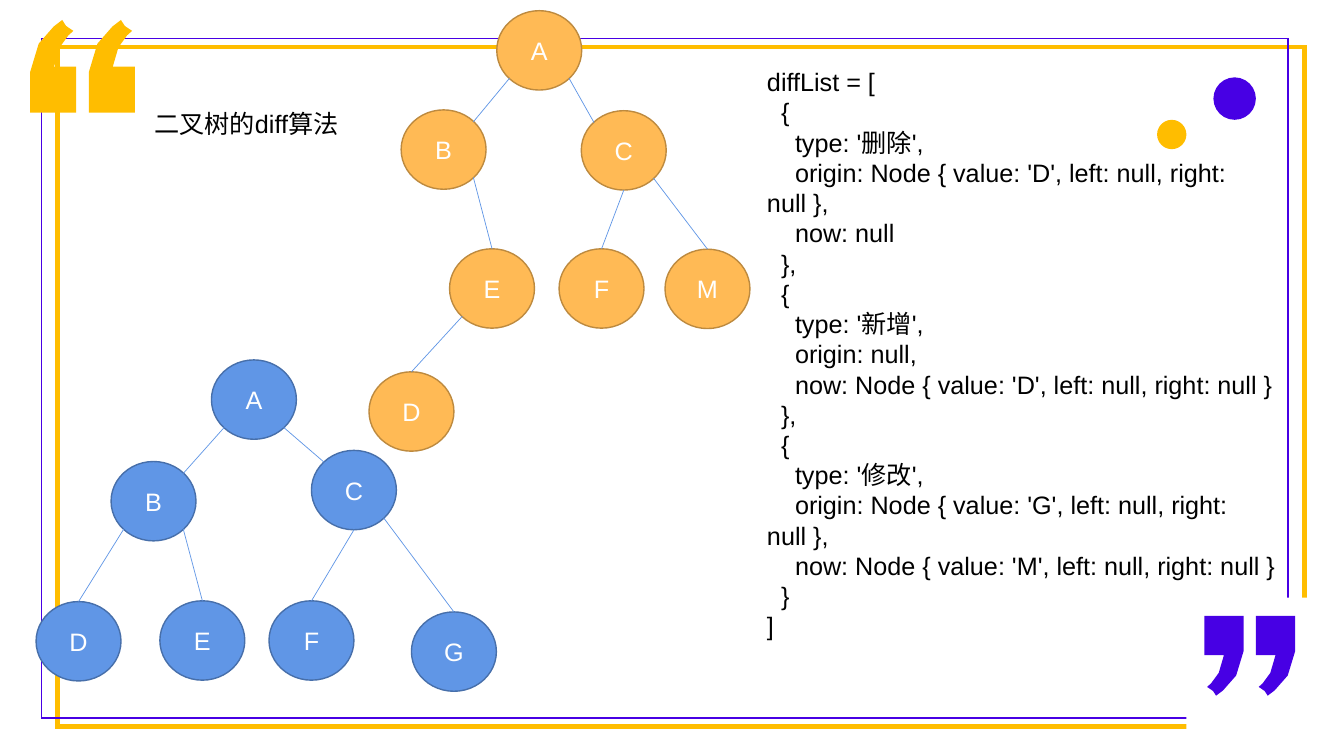
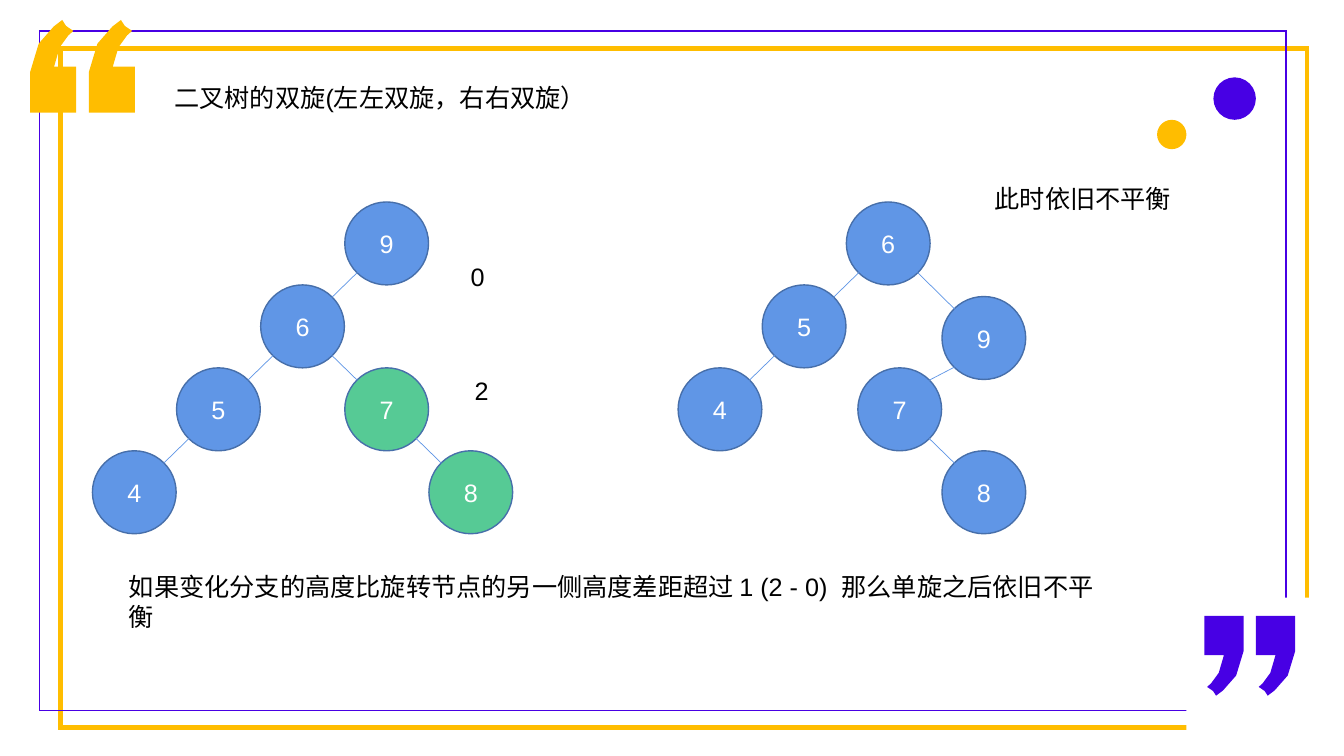
"""Build two slides on binary tree algorithms."""
from pptx import Presentation
from pptx.dml.color import RGBColor
from pptx.enum.shapes import MSO_CONNECTOR, MSO_SHAPE
from pptx.enum.text import MSO_ANCHOR, MSO_AUTO_SIZE, PP_ALIGN
from pptx.oxml.ns import qn
from pptx.util import Cm, Pt

WHITE = RGBColor(0xFF, 0xFF, 0xFF)
BLACK = RGBColor(0x00, 0x00, 0x00)
GOLD = RGBColor(0xFF, 0xBD, 0x00)
VIOLET = RGBColor(0x47, 0x00, 0xE4)
BLUE = RGBColor(0x60, 0x96, 0xE6)
NAVY = RGBColor(0x47, 0x6F, 0xAA)
ORANGE = RGBColor(0xFF, 0xBA, 0x55)
BROWN = RGBColor(0xBD, 0x8A, 0x3F)
GREEN = RGBColor(0x56, 0xCA, 0x95)
FONT = "Arial"
SIZE = Pt(18)

TOP, BOTTOM = (0, -0.5), (0, 0.5)
TL, TR = (-0.35, -0.35), (0.35, -0.35)
BL, BR = (-0.35, 0.35), (0.35, 0.35)


def style(par, color=BLACK, align=PP_ALIGN.LEFT):
    """Set the font and alignment of a paragraph."""
    par.alignment = align
    par.font.name = FONT
    par.font.size = SIZE
    par.font.color.rgb = color


def paint(shape, fill=None, line=None, width=1):
    """Set fill and sharp-cornered line of a shape and drop its shadow."""
    shape.shadow.inherit = False
    if fill is None:
        shape.fill.background()
    else:
        shape.fill.solid()
        shape.fill.fore_color.rgb = fill
    if line is None:
        shape.line.fill.background()
    else:
        shape.line.color.rgb = line
        shape.line.width = Pt(width)
        edge = shape._element.spPr.find(qn("a:ln"))
        edge.append(edge.makeelement(qn("a:miter"), {"lim": "800000"}))


def add_form(slide, kind, box, fill=None, line=None, width=1):
    """Add a preset shape at a box given in centimetres."""
    shape = slide.shapes.add_shape(kind, *map(Cm, box))
    paint(shape, fill, line, width)
    return shape


def curve(start, one, two, end, steps=3):
    """Return points along a cubic curve after its start."""
    def at(t, axis):
        u = 1 - t
        return (u ** 3 * start[axis] + 3 * u * u * t * one[axis]
                + 3 * u * t * t * two[axis] + t ** 3 * end[axis])
    return [(at(n / steps, 0), at(n / steps, 1)) for n in range(1, steps + 1)]


def add_quote(slide, box, fill, line=None, turn=0):
    """Add one quotation mark drawn on a grid of 1000 units."""
    left, top, width, height = map(Cm, box)
    tip, neck, base = (700, 0), (930, 110), (0, 560)
    points = [(780, 60), neck,
              *curve(neck, neck, (550, 240), (500, 510)),
              (1000, 510), (1000, 1000), (0, 1000), base,
              *curve(base, (20, 190), (700, 10), tip)]
    pen = slide.shapes.build_freeform(*tip, scale=(width / 1000, height / 1000))
    pen.add_line_segments(points)
    shape = pen.convert_to_shape(left, top)
    paint(shape, fill, line)
    shape.rotation = turn


def add_decor(slide, outer, inner):
    """Add the double frame, quotation marks and dots."""
    for spot, color, width in ((outer, GOLD, 3.25), (inner, VIOLET, 1)):
        add_form(slide, MSO_SHAPE.RECTANGLE, (*spot, 31.42, 17.12),
                 line=color, width=width)
    add_form(slide, MSO_SHAPE.RECTANGLE, (29.9, 15.06, 3.4, 3.68), WHITE)
    for left in (0.78, 2.26):
        add_quote(slide, (left, 0.53, 1.12, 2.29), GOLD, GOLD)
    for left in (30.35, 31.65):
        add_quote(slide, (left, 15.52, 0.99, 2.01), VIOLET, turn=180)
    add_form(slide, MSO_SHAPE.OVAL, (29.16, 3.02, 0.74, 0.74), GOLD)
    add_form(slide, MSO_SHAPE.OVAL, (30.58, 1.95, 1.07, 1.07), VIOLET)


def add_page(deck, title, box, outer, inner):
    """Add a decorated slide with its title."""
    slide = deck.slides.add_slide(deck.slide_layouts[5])
    head = slide.shapes.title
    head.left, head.top, head.width, head.height = map(Cm, box)
    frame = head.text_frame
    frame.text = title
    frame.word_wrap = True
    frame.auto_size = MSO_AUTO_SIZE.NONE
    frame.vertical_anchor = MSO_ANCHOR.TOP
    style(frame.paragraphs[0])
    add_decor(slide, outer, inner)
    return slide


def add_text(slide, box, lines):
    """Add a text box of (depth, text) lines indented by depth."""
    frame = slide.shapes.add_textbox(*map(Cm, box)).text_frame
    frame.word_wrap = True
    for index, (depth, text) in enumerate(lines):
        par = frame.add_paragraph() if index else frame.paragraphs[0]
        par.text = text
        style(par)
        if depth:
            props = par._p.get_or_add_pPr()
            props.set("marL", "0")
            props.set("indent", str(Pt(10) * depth))


def add_edge(slide, start, end):
    """Add a thin line between two points."""
    line = slide.shapes.add_connector(MSO_CONNECTOR.STRAIGHT, *start, *end)
    line.line.color.rgb = BLUE
    line.line.width = Pt(0.5)
    props = line._element.spPr
    props.append(props.makeelement(qn("a:effectLst"), {}))


def site(node, spot):
    """Return the point of a node at a relative spot."""
    return (int(node.left + node.width * (0.5 + spot[0])),
            int(node.top + node.height * (0.5 + spot[1])))


def add_tree(slide, size, spots, edges, fill=BLUE, line=NAVY, green=""):
    """Add labelled round nodes and the edges that join them."""
    nodes = {}
    for name, spot in spots.items():
        color = GREEN if name in green else fill
        node = add_form(slide, MSO_SHAPE.OVAL, (*spot, *size), color, line)
        frame = node.text_frame
        frame.text = name
        frame.vertical_anchor = MSO_ANCHOR.MIDDLE
        style(frame.paragraphs[0], WHITE, PP_ALIGN.CENTER)
        nodes[name] = node
    for pair, out, into in edges:
        add_edge(slide, site(nodes[pair[0]], out), site(nodes[pair[1]], into))


def cell(left, col, row):
    """Return the place of a node on the grid that starts at left."""
    return left + 2.12 * col, 5.09 + 2.09 * row


def diff_lines():
    """Return the lines of the diff list with their depths."""
    def node(name):
        return f"Node {{ value: '{name}', left: null, right: null }}"
    items = (("删除", node("D"), "null"),
             ("新增", "null", node("D")),
             ("修改", node("G"), node("M")))
    lines = [(0, "diffList = [")]
    for index, (kind, origin, now) in enumerate(items, 1):
        lines += [(1, "{"), (2, f"type: '{kind}',"),
                  (2, f"origin: {origin},"), (2, f"now: {now}"),
                  (1, "}," if index < len(items) else "}")]
    return lines + [(0, "]")]


def add_diff(deck):
    """Add the slide on the tree diff."""
    slide = add_page(deck, "二叉树的diff算法", (3.63, 2.6, 25.2, 1.02),
                     (1.45, 1.19), (1.04, 0.97))
    size = (2.14, 2)
    joint = [("AB", BL, TR), ("AC", BR, TL), ("BE", BR, TOP), ("CF", BOTTOM, TOP)]
    old = {"A": (5.33, 9.07), "G": (10.37, 15.42), "E": (4.03, 15.14),
           "B": (2.8, 11.63), "F": (6.78, 15.14), "C": (7.85, 11.35),
           "D": (0.91, 15.16)}
    add_tree(slide, size, old, joint + [("BD", BL, TOP), ("CG", BR, TOP)])
    add_text(slide, (19.08, 1.55, 13.79, 13.34), diff_lines())
    new = {"A": (12.52, 0.27), "M": (16.76, 6.28), "E": (11.33, 6.27),
           "B": (10.11, 2.77), "F": (14.09, 6.27), "C": (14.65, 2.79),
           "D": (9.3, 9.37)}
    add_tree(slide, size, new, joint + [("ED", BL, TOP), ("CM", BR, TOP)],
             ORANGE, BROWN)


def add_spin(deck):
    """Add the slide on the double rotation."""
    slide = add_page(deck, "二叉树的双旋(左左双旋，右右双旋）",
                     (4.14, 1.94, 11.68, 1.02), (1.52, 1.22), (0.99, 0.78))
    size = (2.11, 2.09)
    west, east, branch = 2.33, 17.09, 21.62
    before = {"6": cell(west, 2, 1), "7": cell(west, 3, 2),
              "8": cell(west, 4, 3), "9": cell(west, 3, 0),
              "4": cell(west, 0, 3), "5": cell(west, 1, 2)}
    after = {"6": cell(east, 2, 0), "7": cell(branch, 0, 2),
             "8": cell(branch, 1, 3), "9": cell(branch, 1, 1.14),
             "4": cell(east, 0, 2), "5": cell(east, 1, 1)}
    joint = [("65", BL, TR), ("54", BL, TR), ("78", BR, TL)]
    add_tree(slide, size, before,
             joint + [("96", BL, TR), ("67", BR, TL)], green="78")
    add_tree(slide, size, after, joint + [("69", BR, TL), ("97", BL, TR)])
    notes = (
        ((3, 14.27, 25.12, 1.8),
         "如果变化分支的高度比旋转节点的另一侧高度差距超过 1 (2 - 0)  那么单旋之后依旧不平衡"),
        ((11.71, 9.33, 1.32, 1.02), "2"),
        ((11.61, 6.46, 0.94, 1.02), "0"),
        ((24.82, 4.5, 6.88, 1.02), "此时依旧不平衡"))
    for box, text in notes:
        add_text(slide, box, [(0, text)])


def main():
    """Build and save the deck."""
    deck = Presentation()
    deck.slide_width, deck.slide_height = Cm(33.87), Cm(19.05)
    add_diff(deck)
    add_spin(deck)
    deck.save("out.pptx")


if __name__ == "__main__":
    main()
